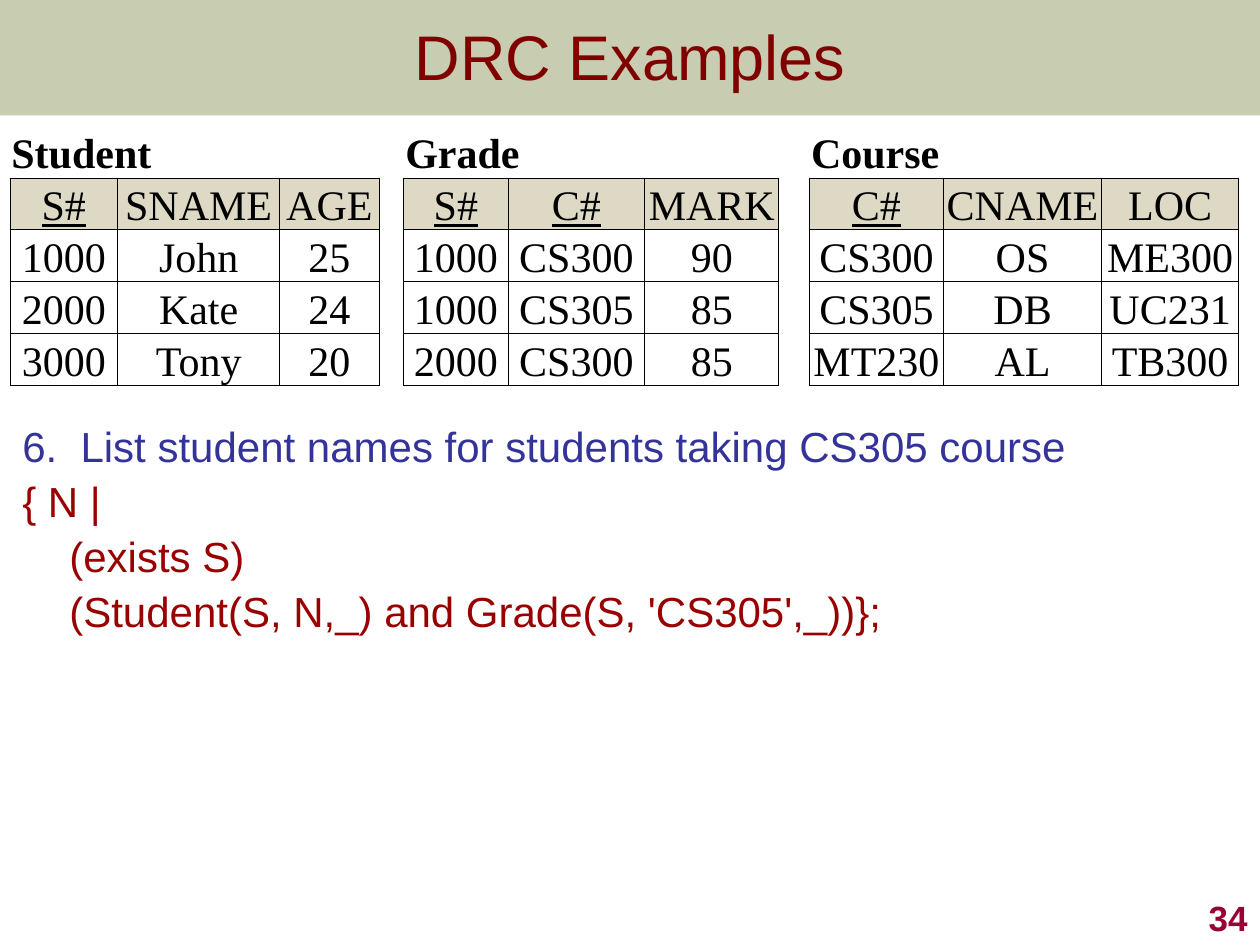
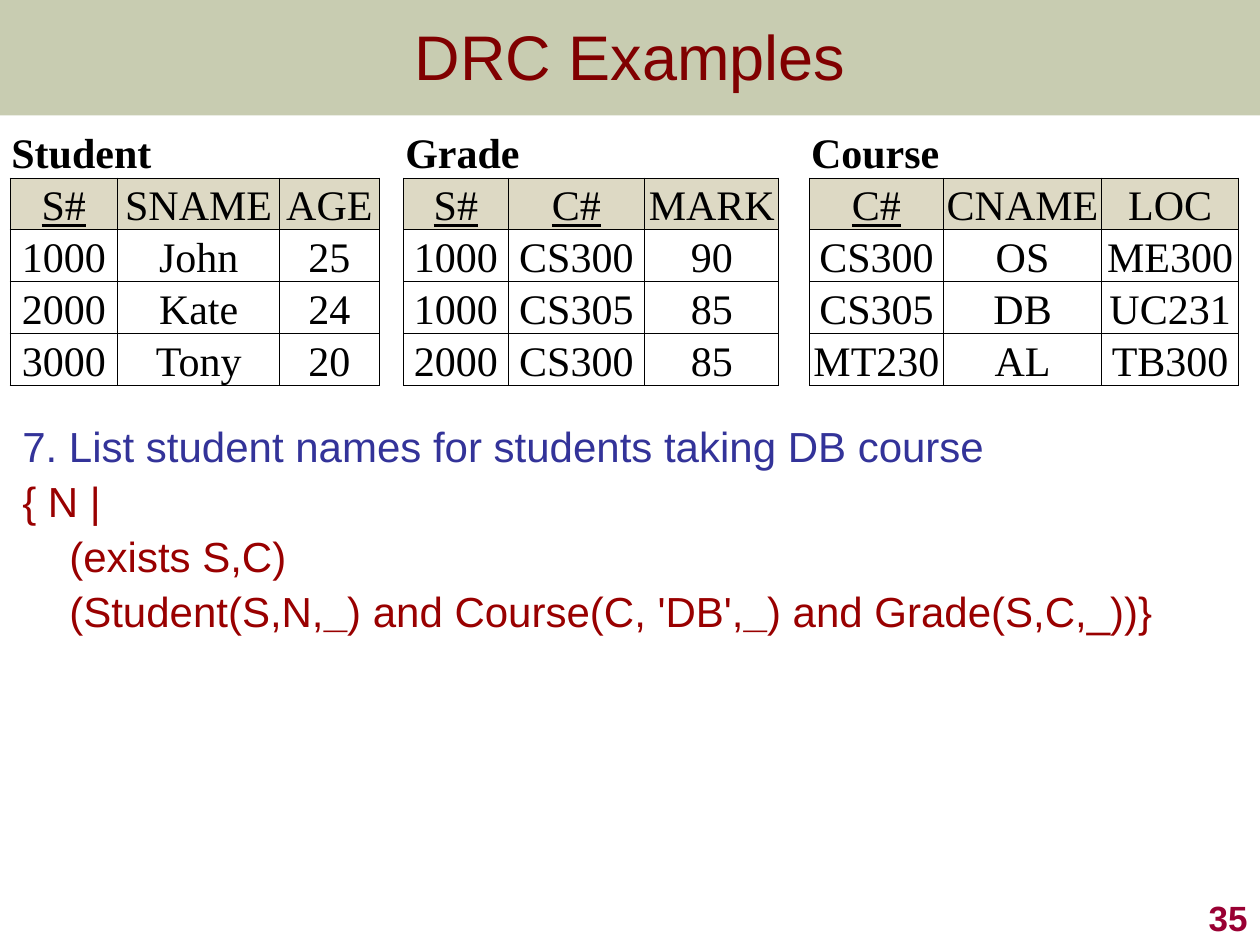
from dataclasses import dataclass

from lxml import etree
from pptx import Presentation
from pptx.dml.color import RGBColor
from pptx.enum.shapes import MSO_SHAPE as Shape
from pptx.enum.text import MSO_ANCHOR as Anchor, PP_ALIGN as Align
from pptx.oxml.ns import qn
from pptx.util import Cm, Pt

OLIVE = RGBColor(0x67, 0x72, 0x28)
MAROON = RGBColor(0x80, 0x00, 0x00)
CRIMSON = RGBColor(0x99, 0x00, 0x33)
INDIGO = RGBColor(0x33, 0x33, 0x99)
DARK_RED = RGBColor(0x99, 0x00, 0x00)
BLACK = RGBColor(0x00, 0x00, 0x00)
WHITE = RGBColor(0xFF, 0xFF, 0xFF)
SAND = RGBColor(0xDD, 0xD9, 0xC4)

SANS, SERIF = "Arial", "Times New Roman"
SLIDE_WIDTH, SLIDE_HEIGHT = Cm(25.4), Cm(19.05)
BAND_OPACITY = 36
ROW_HEIGHT = Cm(0.97)
GAP_WIDTHS = (0.5, 0.62)
SIDES = ("L", "R", "T", "B")


@dataclass
class Relation:
    name: str
    columns: tuple
    key_size: int
    widths: tuple
    rows: tuple


RELATIONS = (
    Relation("Student", ("S#", "SNAME", "AGE"), 1, (2.17, 3.27, 2.0),
             (("1000", "John", "25"), ("2000", "Kate", "24"), ("3000", "Tony", "20"))),
    Relation("Grade", ("S#", "C#", "MARK"), 2, (2.1, 2.76, 2.7),
             (("1000", "CS300", "90"), ("1000", "CS305", "85"), ("2000", "CS300", "85"))),
    Relation("Course", ("C#", "CNAME", "LOC"), 1, (2.7, 3.19, 2.76),
             (("CS300", "OS", "ME300"), ("CS305", "DB", "UC231"), ("MT230", "AL", "TB300"))),
)

# Each query line is a tuple of (text, bold) runs.
EXAMPLES = (
    (34, "6.  List student names for students taking CS305 course",
     ((("(exists S)", False),),
      (("(Student(S, N,_) and Grade(S, 'CS305',_))};", False),))),
    (35, "7. List student names for students taking DB course",
     ((("(exists S,C)", False),),
      (("(Student(S,N,", False), ("_", True), (") and Course(C, 'DB',", False),
       ("_", True), (") and Grade(S,C,_))}", False)))),
)


def add_run(paragraph, text, size, color, font=SANS, bold=False, underline=False):
    run = paragraph.add_run()
    run.text = text
    run.font.name = font
    run.font.size = Pt(size)
    run.font.color.rgb = color
    run.font.bold = bold
    run.font.underline = underline


def add_text_frame(slide, box, anchor=Anchor.TOP):
    frame = slide.shapes.add_textbox(*box).text_frame
    frame.word_wrap = True
    frame.vertical_anchor = anchor
    return frame


def add_title(slide, box, title):
    left, top, width, height = box
    band = slide.shapes.add_shape(Shape.RECTANGLE, *box)
    band.shadow.inherit = False
    band.line.fill.background()
    band.fill.solid()
    band.fill.fore_color.rgb = OLIVE
    tint = band.fill._xPr.find(qn("a:solidFill"))[0]
    etree.SubElement(tint, qn("a:alpha"), val=str(BAND_OPACITY * 1000))

    frame = add_text_frame(slide, (left, top, width, height - Cm(0.08)), Anchor.MIDDLE)
    heading = frame.paragraphs[0]
    heading.alignment = Align.CENTER
    add_run(heading, title, 36, MAROON)


def add_page_number(slide, box, number):
    paragraph = add_text_frame(slide, box, Anchor.BOTTOM).paragraphs[0]
    paragraph.alignment = Align.RIGHT
    add_run(paragraph, str(number), 20, CRIMSON, bold=True)


def style_cell(cell, fill, ruled_sides):
    """Fill the cell and rule only the given sides in black."""
    cell.margin_left = cell.margin_right = cell.margin_top = Cm(0.03)
    cell.margin_bottom = 0
    cell.vertical_anchor = Anchor.BOTTOM
    properties = cell._tc.get_or_add_tcPr()
    for side in SIDES:
        line = etree.SubElement(properties, qn(f"a:ln{side}"), w=str(Pt(0.5)))
        if side in ruled_sides:
            color = etree.SubElement(line, qn("a:solidFill"))
            etree.SubElement(color, qn("a:srgbClr"), val=str(BLACK))
        else:
            etree.SubElement(line, qn("a:noFill"))
    cell.fill.solid()
    cell.fill.fore_color.rgb = fill


def fill_relation(table, first, relation):
    """Write one relation into the columns that start at first."""
    last = first + len(relation.columns) - 1
    for offset, width in enumerate(relation.widths):
        table.columns[first + offset].width = Cm(width)
        style_cell(table.cell(0, first + offset), WHITE, "B")
    name_cell = table.cell(0, first)
    name_cell.merge(table.cell(0, last))
    add_run(name_cell.text_frame.paragraphs[0], relation.name, 24, BLACK, SERIF, bold=True)

    for row, values in enumerate((relation.columns, *relation.rows), start=1):
        is_header = row == 1
        for offset, value in enumerate(values):
            cell = table.cell(row, first + offset)
            style_cell(cell, SAND if is_header else WHITE, SIDES)
            paragraph = cell.text_frame.paragraphs[0]
            paragraph.alignment = Align.CENTER
            add_run(paragraph, value, 24, BLACK, SERIF,
                    underline=is_header and offset < relation.key_size)


def fill_gap(table, column, width):
    table.columns[column].width = Cm(width)
    for row in range(len(table.rows)):
        style_cell(table.cell(row, column), WHITE, "LR" if row else "")


def add_relations(slide, left, top):
    row_count = len(RELATIONS[0].rows) + 2
    column_count = sum(len(r.columns) for r in RELATIONS) + len(GAP_WIDTHS)
    width = Cm(sum(sum(r.widths) for r in RELATIONS) + sum(GAP_WIDTHS))
    table = slide.shapes.add_table(row_count, column_count, left, top,
                                   width, ROW_HEIGHT * row_count).table
    table.first_row = table.horz_banding = False
    for row in table.rows:
        row.height = ROW_HEIGHT

    column = 0
    for index, relation in enumerate(RELATIONS):
        fill_relation(table, column, relation)
        column += len(relation.columns)
        if index < len(GAP_WIDTHS):
            fill_gap(table, column, GAP_WIDTHS[index])
            column += 1


def add_query(slide, box, question, conditions):
    frame = add_text_frame(slide, box)
    frame.margin_right = 0
    lines = [(((question, False),), INDIGO, 0), ((("{ N |", False),), DARK_RED, 0)]
    lines += [(runs, DARK_RED, Cm(0.95)) for runs in conditions]
    for index, (runs, color, indent) in enumerate(lines):
        paragraph = frame.add_paragraph() if index else frame.paragraphs[0]
        paragraph.line_spacing = 0.9
        paragraph.space_before = Pt(5.5 if index else 0)
        paragraph._p.get_or_add_pPr().set("marL", str(indent))
        for text, bold in runs:
            add_run(paragraph, text, 24, color, bold=bold)


def add_example_slide(deck, number, question, conditions):
    slide = deck.slides.add_slide(deck.slide_layouts[6])
    add_title(slide, (0, 0, SLIDE_WIDTH, Cm(2.33)), "DRC Examples")
    add_relations(slide, Cm(0.2), Cm(2.54))
    add_query(slide, (Cm(0.2), Cm(8.46), Cm(23.88), Cm(7)), question, conditions)
    number_width, number_height = Cm(5.28), Cm(1.27)
    add_page_number(slide, (SLIDE_WIDTH - number_width, SLIDE_HEIGHT - number_height,
                            number_width, number_height), number)


def main():
    deck = Presentation()
    deck.slide_width, deck.slide_height = SLIDE_WIDTH, SLIDE_HEIGHT
    for number, question, conditions in EXAMPLES:
        add_example_slide(deck, number, question, conditions)
    deck.save("out.pptx")


if __name__ == "__main__":
    main()
